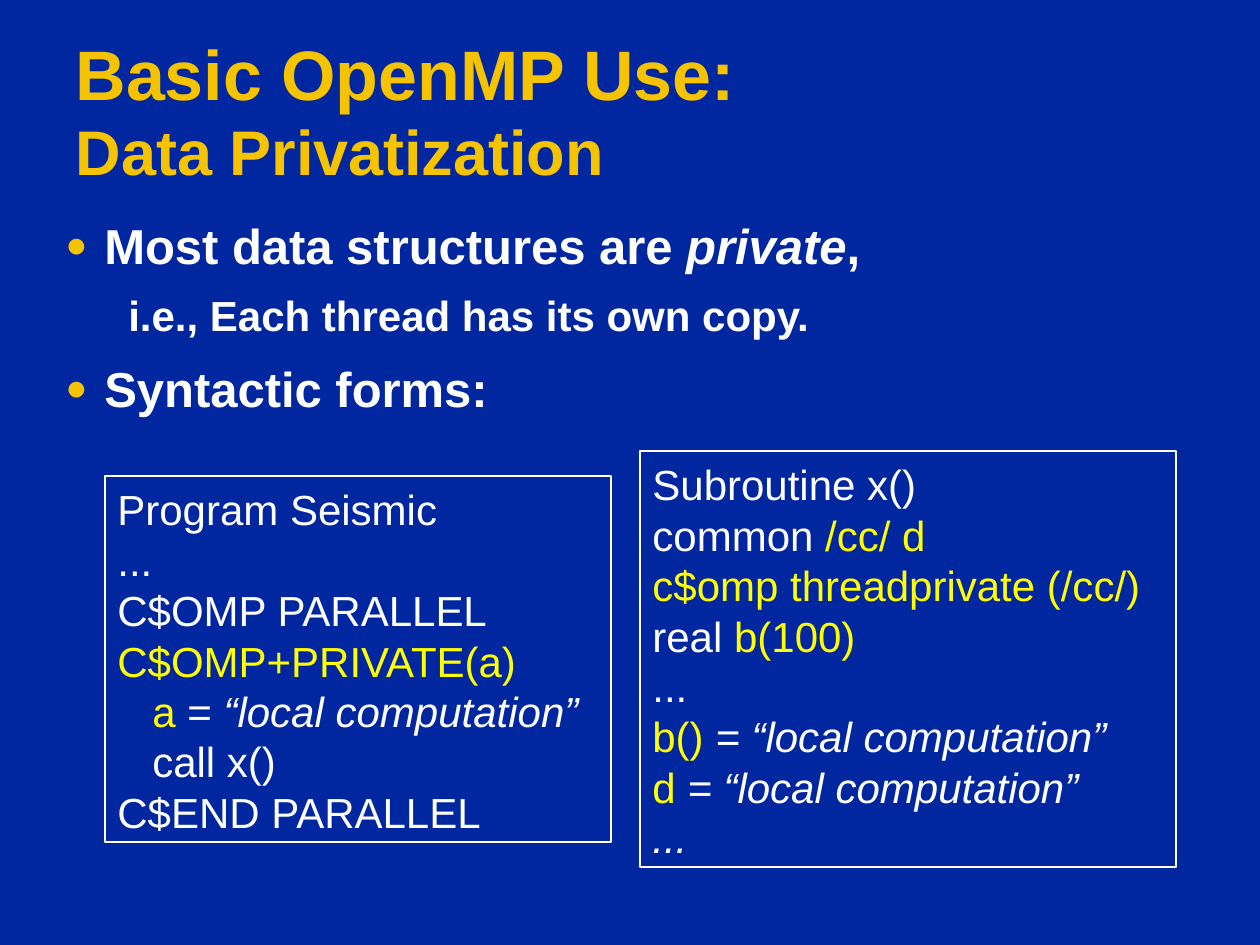
"""Build a slide on data privatization in OpenMP."""
from dataclasses import dataclass

from lxml import etree
from pptx import Presentation
from pptx.dml.color import RGBColor
from pptx.enum.shapes import MSO_SHAPE
from pptx.enum.text import MSO_ANCHOR, MSO_AUTO_SIZE, PP_ALIGN
from pptx.oxml.ns import qn
from pptx.util import Emu, Inches, Pt

RECTANGLE = MSO_SHAPE.RECTANGLE
TOP, MIDDLE = MSO_ANCHOR.TOP, MSO_ANCHOR.MIDDLE
NO_AUTOFIT = MSO_AUTO_SIZE.NONE
LEFT = PP_ALIGN.LEFT
NAVY = RGBColor(0x00, 0x27, 0x9F)
GOLD = RGBColor(0xF5, 0xC3, 0x00)
WHITE = RGBColor(0xFF, 0xFF, 0xFF)
YELLOW = RGBColor(0xFF, 0xFF, 0x00)
FONT = "Arial"
PX_PER_INCH = 126


@dataclass(frozen=True)
class Span:
    text: str
    color: RGBColor = WHITE
    italic: bool = False


@dataclass(frozen=True)
class Point:
    spans: tuple[Span, ...]
    size: int
    margin: int
    indent: int
    space_before: float = 0
    bulleted: bool = False


@dataclass(frozen=True)
class Listing:
    left: int
    top: int
    width: int
    height: int
    lines: tuple[tuple[Span, ...], ...]


COMPUTATION = Span("“local computation”", italic=True)
ASSIGNED = Span(" = “local computation”", italic=True)

POINTS = (
    Point((Span("Most data structures are "), Span("private", italic=True), Span(",")),
          28, 39, -39, bulleted=True),
    Point((Span("i.e., Each thread has its own copy."),), 24, 94, -31, 9),
    Point((Span("Syntactic forms:"),), 28, 39, -39, 10.5, True),
)

LISTINGS = (
    Listing(105, 476, 506, 366, (
        (Span("Program Seismic"),),
        (Span("..."),),
        (Span("C$OMP PARALLEL"),),
        (Span("C$OMP+PRIVATE(a)", YELLOW),),
        (Span("   "), Span("a", YELLOW), Span(" = "), COMPUTATION),
        (Span("   call x()"),),
        (Span("C$END PARALLEL"),),
    )),
    Listing(640, 451, 536, 416, (
        (Span("Subroutine x()"),),
        (Span("common "), Span("/cc/ d", YELLOW)),
        (Span("c$omp threadprivate (/cc/)", YELLOW),),
        (Span("real"), Span(" b(100)", YELLOW)),
        (Span("..."),),
        (Span("b()", YELLOW), ASSIGNED),
        (Span("d", YELLOW), ASSIGNED),
        (Span("...", italic=True),),
    )),
)


def px(length: int) -> Emu:
    """Convert pixels to EMU."""
    return Emu(round(length * 914400 / PX_PER_INCH))


def add_span(paragraph, span: Span, size: int, bold: bool = False) -> None:
    """Add one formatted run."""
    run = paragraph.add_run()
    run.text = span.text
    font = run.font
    font.name, font.size = FONT, Pt(size)
    font.bold, font.italic = bold, span.italic
    font.color.rgb = span.color


def next_paragraph(frame, index: int):
    """Return the first paragraph, or a new one after it."""
    return frame.add_paragraph() if index else frame.paragraphs[0]


def set_bullet(properties) -> None:
    """Give a paragraph a gold dot."""
    color = etree.SubElement(properties, qn("a:buClr"))
    etree.SubElement(color, qn("a:srgbClr"), val=str(GOLD))
    etree.SubElement(properties, qn("a:buSzPct"), val="75000")
    etree.SubElement(properties, qn("a:buFont"), typeface=FONT)
    etree.SubElement(properties, qn("a:buChar"), char="●")


def format_title(title) -> None:
    """Place the title and fill in its two lines."""
    title.left, title.top, title.width, title.height = map(px, (63, 34, 1171, 158))
    frame = title.text_frame
    frame.auto_size = NO_AUTOFIT
    frame.vertical_anchor = MIDDLE
    paragraph = frame.paragraphs[0]
    paragraph.alignment = LEFT
    paragraph.line_spacing = 0.96
    add_span(paragraph, Span("Basic OpenMP Use: ", GOLD), 40, True)
    paragraph.add_line_break()
    add_span(paragraph, Span("Data Privatization", GOLD), 36, True)


def add_points(slide, points: tuple[Point, ...]) -> None:
    """Add the list of statements."""
    frame = slide.shapes.add_textbox(*map(px, (53, 209, 1173, 230))).text_frame
    frame.word_wrap = True
    for index, point in enumerate(points):
        paragraph = next_paragraph(frame, index)
        properties = paragraph._p.get_or_add_pPr()
        properties.set("marL", str(px(point.margin)))
        properties.set("indent", str(px(point.indent)))
        if point.bulleted:
            set_bullet(properties)
        if point.space_before:
            paragraph.space_before = Pt(point.space_before)
        for span in point.spans:
            add_span(paragraph, span, point.size, True)


def add_listing(slide, listing: Listing) -> None:
    """Add one framed code listing."""
    box = slide.shapes.add_shape(RECTANGLE, px(listing.left), px(listing.top),
                                 px(listing.width), px(listing.height))
    box.shadow.inherit = False
    box.fill.background()
    box.line.color.rgb = WHITE
    box.line.width = Pt(0.75)
    frame = box.text_frame
    frame.word_wrap = True
    frame.vertical_anchor = TOP
    frame.margin_top = px(8)
    for index, line in enumerate(listing.lines):
        paragraph = next_paragraph(frame, index)
        paragraph.alignment = LEFT
        paragraph.line_spacing = Pt(28.8)
        for span in line:
            add_span(paragraph, span, 24)


def main() -> None:
    """Build and save the slide."""
    presentation = Presentation()
    presentation.slide_width, presentation.slide_height = Inches(10), Inches(7.5)
    slide = presentation.slides.add_slide(presentation.slide_layouts[5])
    slide.background.fill.solid()
    slide.background.fill.fore_color.rgb = NAVY
    format_title(slide.shapes.title)
    add_points(slide, POINTS)
    for listing in LISTINGS:
        add_listing(slide, listing)
    presentation.save("out.pptx")


if __name__ == "__main__":
    main()
